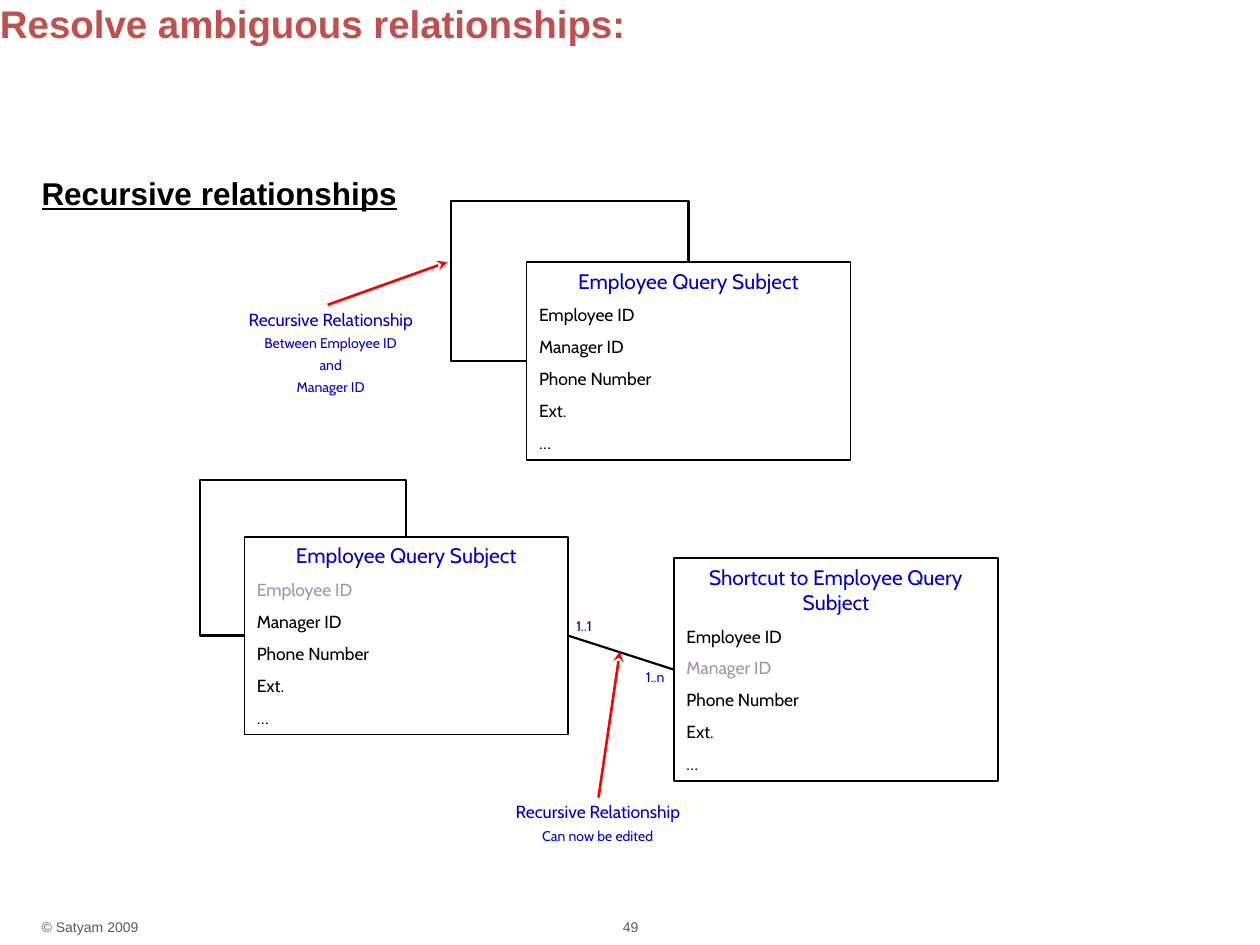
from lxml.etree import SubElement
from pptx import Presentation
from pptx.dml.color import RGBColor
from pptx.enum.shapes import MSO_CONNECTOR, MSO_SHAPE
from pptx.enum.text import MSO_ANCHOR, PP_ALIGN
from pptx.oxml.ns import qn
from pptx.util import Inches, Pt

BLACK = RGBColor(0x00, 0x00, 0x00)
BLUE = RGBColor(0x00, 0x00, 0xCC)
RED = RGBColor(0xFF, 0x00, 0x00)
BRICK = RGBColor(0xC0, 0x50, 0x4D)
LILAC = RGBColor(0xA0, 0x92, 0xB4)
GREY = RGBColor(0x62, 0x57, 0x56)

presentation = Presentation()
presentation.slide_width = Inches(10)
presentation.slide_height = Inches(7.5)
slide = presentation.slides.add_slide(presentation.slide_layouts[6])


def write_paragraph(frame, text, size, color, font="Cabin", align=PP_ALIGN.LEFT, before=0):
    paragraph = frame.paragraphs[0]
    if paragraph.runs:
        paragraph = frame.add_paragraph()
        paragraph.space_before = Pt(before)
    paragraph.alignment = align
    run = paragraph.add_run()
    run.text = text
    run.font.name = font
    run.font.size = Pt(size)
    run.font.color.rgb = color
    return run


def add_line(kind, start, end, color, width):
    points = [Inches(value) for value in (*start, *end)]
    connector = slide.shapes.add_connector(kind, *points)
    connector.line.color.rgb = color
    connector.line.width = Pt(width)
    SubElement(connector.element.spPr, qn("a:effectLst"))
    return connector


headings = [
    ("© Satyam 2009", 0.33, 7.29, 0.78, 0.13, 8, GREY, PP_ALIGN.LEFT, False, False),
    ("49", 4.75, 7.29, 0.51, 0.13, 8, GREY, PP_ALIGN.CENTER, False, False),
    ("Resolve ambiguous relationships:", 0, 0, 9.5, 0.37, 22, BRICK, PP_ALIGN.LEFT, True, False),
    ("Recursive relationships", 0.33, 1.38, 9.34, 0.3, 18, BLACK, PP_ALIGN.LEFT, True, True),
]
for text, left, top, width, height, size, color, align, bold, underline in headings:
    box = slide.shapes.add_textbox(Inches(left), Inches(top), Inches(width), Inches(height))
    frame = box.text_frame
    frame.word_wrap = True
    frame.margin_left = frame.margin_right = frame.margin_top = frame.margin_bottom = 0
    run = write_paragraph(frame, text, size, color, "Arial", align)
    run.font.bold = bold
    run.font.underline = underline

subjects = [
    ("Employee Query Subject", 4.18, 2.08, 1.57, None),
    ("Employee Query Subject", 1.94, 4.26, 1.57, "Employee ID"),
    ("Shortcut to Employee Query Subject", 5.35, 4.43, 1.77, "Manager ID"),
]
fields = ["Employee ID", "Manager ID", "Phone Number", "Ext.", "…"]
subject_boxes = []
for title, left, top, height, muted_field in subjects:
    shape = slide.shapes.add_shape(
        MSO_SHAPE.RECTANGLE, Inches(left), Inches(top), Inches(2.57), Inches(height)
    )
    shape.shadow.inherit = False
    shape.fill.background()
    shape.line.color.rgb = BLACK
    shape.line.width = Pt(1)
    frame = shape.text_frame
    frame.word_wrap = True
    frame.vertical_anchor = MSO_ANCHOR.TOP
    write_paragraph(frame, title, 12, BLUE, align=PP_ALIGN.CENTER)
    for field in fields:
        color = LILAC if field == muted_field else BLACK
        write_paragraph(frame, field, 10, color, before=6.2)
    subject_boxes.append(shape)
recursive_box, employee_box, shortcut_box = subject_boxes

loops = [
    (recursive_box, (4.18, 2.87), (5.47, 2.08), (-46500, 161400)),
    (employee_box, (1.94, 5.05), (3.23, 4.26), (-27300, 157600)),
]
for box, start, end, bends in loops:
    loop = add_line(MSO_CONNECTOR.ELBOW, start, end, BLACK, 1.25)
    loop.begin_connect(box, 1)
    loop.end_connect(box, 0)
    geometry = loop.element.spPr.find(qn("a:prstGeom"))
    geometry.set("prst", "bentConnector4")
    adjustments = geometry.find(qn("a:avLst"))
    for number, bend in enumerate(bends, 1):
        SubElement(adjustments, qn("a:gd"), name=f"adj{number}", fmla=f"val {bend}")

relationship = add_line(MSO_CONNECTOR.STRAIGHT, (4.51, 5.05), (5.35, 5.31), BLACK, 1.25)
relationship.begin_connect(employee_box, 3)
relationship.end_connect(shortcut_box, 1)

for start, end in [((2.6, 2.42), (3.55, 2.08)), ((4.75, 6.33), (4.92, 5.17))]:
    arrow = add_line(MSO_CONNECTOR.STRAIGHT, start, end, RED, 1.5)
    SubElement(arrow.line._get_or_add_ln(), qn("a:tailEnd"), type="stealth")

labels = [
    (1.79, 2.4, 1.67, 0.79,
     [("Recursive Relationship", 10), ("Between Employee ID", 8), ("and", 8), ("Manager ID", 8)]),
    (3.91, 6.31, 1.67, 0.44, [("Recursive Relationship", 10), ("Can now be edited", 8)]),
    (4.44, 4.85, 0.39, 0.24, [("1..1", 8)]),
    (5, 5.26, 0.4, 0.24, [("1..n", 8)]),
]
for left, top, width, height, lines in labels:
    box = slide.shapes.add_textbox(Inches(left), Inches(top), Inches(width), Inches(height))
    box.text_frame.word_wrap = False
    for text, size in lines:
        write_paragraph(box.text_frame, text, size, BLUE, align=PP_ALIGN.CENTER, before=3)

presentation.save("out.pptx")
